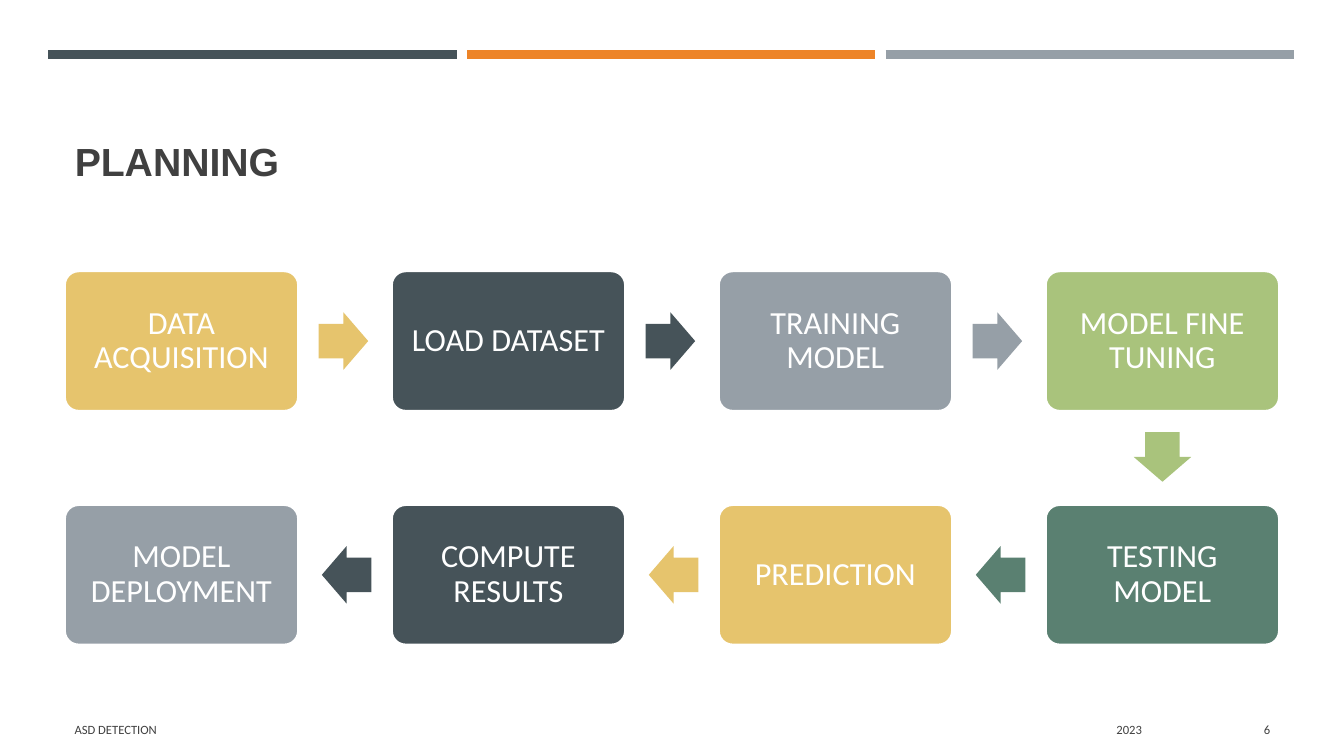
from lxml import etree
from pptx import Presentation
from pptx.dml.color import RGBColor
from pptx.enum.shapes import MSO_CONNECTOR, MSO_SHAPE
from pptx.enum.text import MSO_ANCHOR, PP_ALIGN
from pptx.oxml.ns import qn
from pptx.util import Cm, Pt

STRAIGHT = MSO_CONNECTOR.STRAIGHT
ROUNDED, ARROW = MSO_SHAPE.ROUNDED_RECTANGLE, MSO_SHAPE.RIGHT_ARROW
MIDDLE, BOTTOM = MSO_ANCHOR.MIDDLE, MSO_ANCHOR.BOTTOM
LEFT, CENTER, RIGHT = PP_ALIGN.LEFT, PP_ALIGN.CENTER, PP_ALIGN.RIGHT

WHITE, INK = "FFFFFF", "404040"
GOLD, SLATE, GREY = "E6C46D", "465359", "969FA7"
LIME, GREEN, ORANGE = "A9C37C", "5A8071", "ED8428"

MARGIN = 1.63
BAR_LEFT, BAR_TOP, BAR_LENGTH, BAR_PITCH = 1.22, 1.37, 10.29, 10.55
BOX_WIDTH, BOX_HEIGHT = 5.89, 3.53
FIRST_ROW, COLUMN_PITCH, ROW_PITCH = 6.83, 8.24, 5.89
ARROW_LENGTH, ARROW_HEIGHT = 1.25, 1.45
STEPS_PER_ROW = 4

STEPS = [
    ("DATA ACQUISITION", GOLD),
    ("LOAD DATASET", SLATE),
    ("TRAINING MODEL", GREY),
    ("MODEL FINE TUNING", LIME),
    ("TESTING MODEL", GREEN),
    ("PREDICTION", GOLD),
    ("COMPUTE RESULTS", SLATE),
    ("MODEL DEPLOYMENT", GREY),
]
ARROW_SHIFTS = {0: (4.08, 0), 90: (0, 2.92), 180: (-4.08, 0)}
FOOTER = [
    ("ASD DETECTION", MARGIN, 19.2, LEFT),
    ("2023", 21.13, 7.9, RIGHT),
    ("6", 29.34, 2.92, RIGHT),
]


def color(value):
    return RGBColor.from_string(value)


class FlowSlide:
    font = "Calibri"

    def __init__(self, deck):
        self.page = deck.slides.add_slide(deck.slide_layouts[5])
        self.shapes = self.page.shapes

    def set_text(self, shape, text, size, ink, align, anchor, font=None, bold=False):
        frame = shape.text_frame
        frame.word_wrap = True
        frame.vertical_anchor = anchor
        para = frame.paragraphs[0]
        para.text = text
        para.alignment = align
        para.font.name = font or self.font
        para.font.size = Pt(size)
        para.font.bold = bold
        para.font.color.rgb = color(ink)
        return para

    def title(self, text):
        title = self.shapes.title
        title.left, title.top = Cm(MARGIN), Cm(2.03)
        title.width, title.height = Cm(30.63), Cm(2.74)
        self.set_text(title, text, 28, INK, LEFT, BOTTOM, "Arial", True)

    def bar(self, left, fill):
        top = Cm(BAR_TOP)
        line = self.shapes.add_connector(STRAIGHT, Cm(left), top, Cm(left + BAR_LENGTH), top)
        line.line.color.rgb = color(fill)
        line.line.width = Pt(6.5)
        etree.SubElement(line._element.spPr, qn("a:effectLst"))

    def block(self, kind, center, size, fill):
        (x, y), (width, height) = center, size
        shape = self.shapes.add_shape(
            kind, Cm(x - width / 2), Cm(y - height / 2), Cm(width), Cm(height)
        )
        shape.shadow.inherit = False
        shape.fill.solid()
        shape.fill.fore_color.rgb = color(fill)
        return shape

    def step(self, text, center, fill):
        box = self.block(ROUNDED, center, (BOX_WIDTH, BOX_HEIGHT), fill)
        box.adjustments[0] = 0.1
        box.line.color.rgb = color(WHITE)
        box.line.width = Pt(1.75)
        frame = box.text_frame
        frame.margin_left = frame.margin_right = Cm(0.25)
        frame.margin_top = frame.margin_bottom = Cm(0.25)
        self.set_text(box, text, 23, WHITE, CENTER, MIDDLE).line_spacing = 0.9

    def arrow(self, center, angle, fill):
        arrow = self.block(ARROW, center, (ARROW_LENGTH, ARROW_HEIGHT), fill)
        arrow.adjustments[0] = 0.6
        arrow.adjustments[1] = 0.5
        arrow.rotation = angle
        arrow.line.fill.background()

    def footer(self, text, left, width, align):
        box = self.shapes.add_textbox(Cm(left), Cm(17.86), Cm(width), Cm(1.02))
        self.set_text(box, text, 9, INK, align, MIDDLE)


def main():
    deck = Presentation()
    deck.slide_width, deck.slide_height = Cm(33.87), Cm(19.05)
    slide = FlowSlide(deck)

    for index, fill in enumerate((SLATE, ORANGE, GREY)):
        slide.bar(BAR_LEFT + index * BAR_PITCH, fill)
    slide.title("PLANNING")

    for index, (text, fill) in enumerate(STEPS):
        row, column = divmod(index, STEPS_PER_ROW)
        if row:
            column = STEPS_PER_ROW - 1 - column
        x = MARGIN + BOX_WIDTH / 2 + column * COLUMN_PITCH
        y = FIRST_ROW + BOX_HEIGHT / 2 + row * ROW_PITCH
        slide.step(text, (x, y), fill)
        if index < len(STEPS) - 1:
            turning = index == STEPS_PER_ROW - 1
            angle = 90 if turning else 180 * row
            shift_x, shift_y = ARROW_SHIFTS[angle]
            slide.arrow((x + shift_x, y + shift_y), angle, fill)

    for entry in FOOTER:
        slide.footer(*entry)

    deck.save("out.pptx")


if __name__ == "__main__":
    main()
